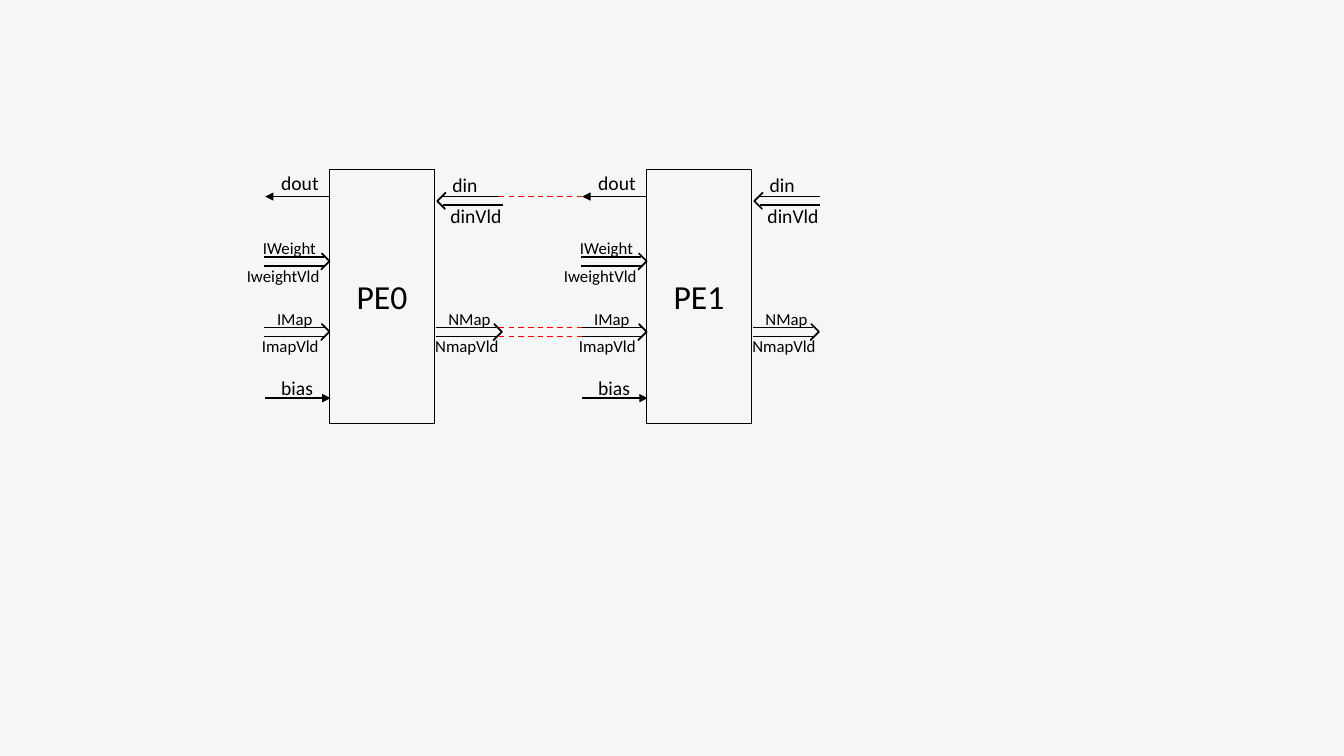
from lxml.etree import SubElement
from pptx import Presentation
from pptx.dml.color import RGBColor
from pptx.enum.dml import MSO_LINE
from pptx.enum.shapes import MSO_CONNECTOR, MSO_SHAPE
from pptx.enum.text import MSO_ANCHOR, MSO_AUTO_SIZE, PP_ALIGN
from pptx.oxml.ns import qn
from pptx.util import Pt

BLACK, RED, PAPER = "000000", "FF0000", "F5F6F7"
PE_LEFT, PE_TOP, PE_WIDTH, PE_HEIGHT = 235.4, 121, 74.9, 181.4
PE_PITCH = 226.5
BUS_GAP = 6.3
DATA_Y, DIN_Y, WEIGHT_Y, MAP_Y, BIAS_Y = 19.4, 22.4, 65.8, 116.2, 163.4

# text, left, top, width, height, size; places are relative to the PE box
PORT_LABELS = [
    ("dout", -41.7, -2.2, 44.6, 24.5, 14),
    ("din", 80.7, -0.8, 44.6, 24.5, 14),
    ("dinVld", 79.2, 20.8, 56.9, 24.5, 14),
    ("IWeight", -54.7, 45.3, 66.2, 21.6, 12),
    ("IweightVld", -66.2, 65.5, 78.5, 21.6, 12),
    ("IMap", -44.6, 95.7, 46, 21.6, 12),
    ("ImapVld", -55.4, 115.2, 60.5, 21.6, 12),
    ("NMap", 77.8, 95.7, 46, 21.6, 12),
    ("NmapVld", 68.4, 115.2, 60.5, 21.6, 12),
    ("bias", -41.7, 144, 44.6, 24.5, 14),
]


def rgb(code):
    return RGBColor.from_string(code)


def style_text(paragraph, size):
    paragraph.font.name = "Calibri"
    paragraph.font.size = Pt(size)
    paragraph.font.color.rgb = rgb(BLACK)


def add_wire(slide, x1, x2, y, color=BLACK, arrow=False, dashed=False):
    """Draw a horizontal line, with an arrowhead at x2 if arrow is set."""
    wire = slide.shapes.add_connector(
        MSO_CONNECTOR.STRAIGHT, Pt(x1), Pt(y), Pt(x2), Pt(y))
    wire.line.color.rgb = rgb(color)
    wire.line.width = Pt(1)
    if dashed:
        wire.line.dash_style = MSO_LINE.DASH
    if arrow:
        SubElement(wire.line._get_or_add_ln(), qn("a:tailEnd"), type="triangle")
    SubElement(wire._element.spPr, qn("a:effectLst"))


def bus_rows(y):
    return y - BUS_GAP / 2, y + BUS_GAP / 2


def add_bus(slide, tip, y, direction):
    """Draw a double line ending in an open head; direction is 1 for right, -1 for left."""
    for row in bus_rows(y):
        add_wire(slide, tip - 4.3 * direction, tip - 46.8 * direction, row)
    width, height = 8.6, 7.9
    head = slide.shapes.add_shape(
        MSO_SHAPE.HALF_FRAME, Pt(tip - 5.7 * direction - width / 2),
        Pt(y - height / 2), Pt(width), Pt(height))
    head.adjustments[0], head.adjustments[1] = 0.035, 0.032
    head.rotation = 135 if direction > 0 else 315
    head.shadow.inherit = False
    head.fill.solid()
    head.fill.fore_color.rgb = rgb(BLACK)
    head.line.color.rgb = rgb(BLACK)
    head.line.width = Pt(1)


def add_label(slide, text, left, top, width, height, size):
    label = slide.shapes.add_textbox(Pt(left), Pt(top), Pt(width), Pt(height))
    frame = label.text_frame
    frame.word_wrap = True
    frame.auto_size = MSO_AUTO_SIZE.SHAPE_TO_FIT_TEXT
    frame.text = text
    style_text(frame.paragraphs[0], size)


def add_processing_element(slide, name, left, top, width, height):
    body = slide.shapes.add_shape(
        MSO_SHAPE.RECTANGLE, Pt(left), Pt(top), Pt(width), Pt(height))
    body.shadow.inherit = False
    body.fill.background()
    body.line.color.rgb = rgb(BLACK)
    body.line.width = Pt(1)
    body.text_frame.text = name
    body.text_frame.vertical_anchor = MSO_ANCHOR.MIDDLE
    title = body.text_frame.paragraphs[0]
    title.alignment = PP_ALIGN.CENTER
    style_text(title, 24)

    add_wire(slide, left, left - 46, top + DATA_Y, arrow=True)
    add_wire(slide, left - 46, left + 0.7, top + BIAS_Y, arrow=True)
    add_bus(slide, left + width + 2, top + DIN_Y, -1)
    add_bus(slide, left, top + WEIGHT_Y, 1)
    add_bus(slide, left, top + MAP_Y, 1)
    add_bus(slide, left + width + 48.2, top + MAP_Y, 1)
    for text, x, y, *size in PORT_LABELS:
        add_label(slide, text, left + x, top + y, *size)


def add_links(slide, left, right, top):
    """Join the facing data and map ports of two neighbouring elements."""
    for y in (DATA_Y, *bus_rows(MAP_Y)):
        add_wire(slide, left, right, top + y, RED, dashed=True)


def main():
    deck = Presentation()
    deck.slide_width, deck.slide_height = Pt(960), Pt(540)
    slide = deck.slides.add_slide(deck.slide_layouts[6])
    slide.background.fill.solid()
    slide.background.fill.fore_color.rgb = rgb(PAPER)
    for index in range(2):
        add_processing_element(slide, f"PE{index}", PE_LEFT + index * PE_PITCH,
                               PE_TOP, PE_WIDTH, PE_HEIGHT)
    add_links(slide, PE_LEFT + PE_WIDTH + 46, PE_LEFT + PE_PITCH - 46, PE_TOP)
    deck.save("out.pptx")


if __name__ == "__main__":
    main()
